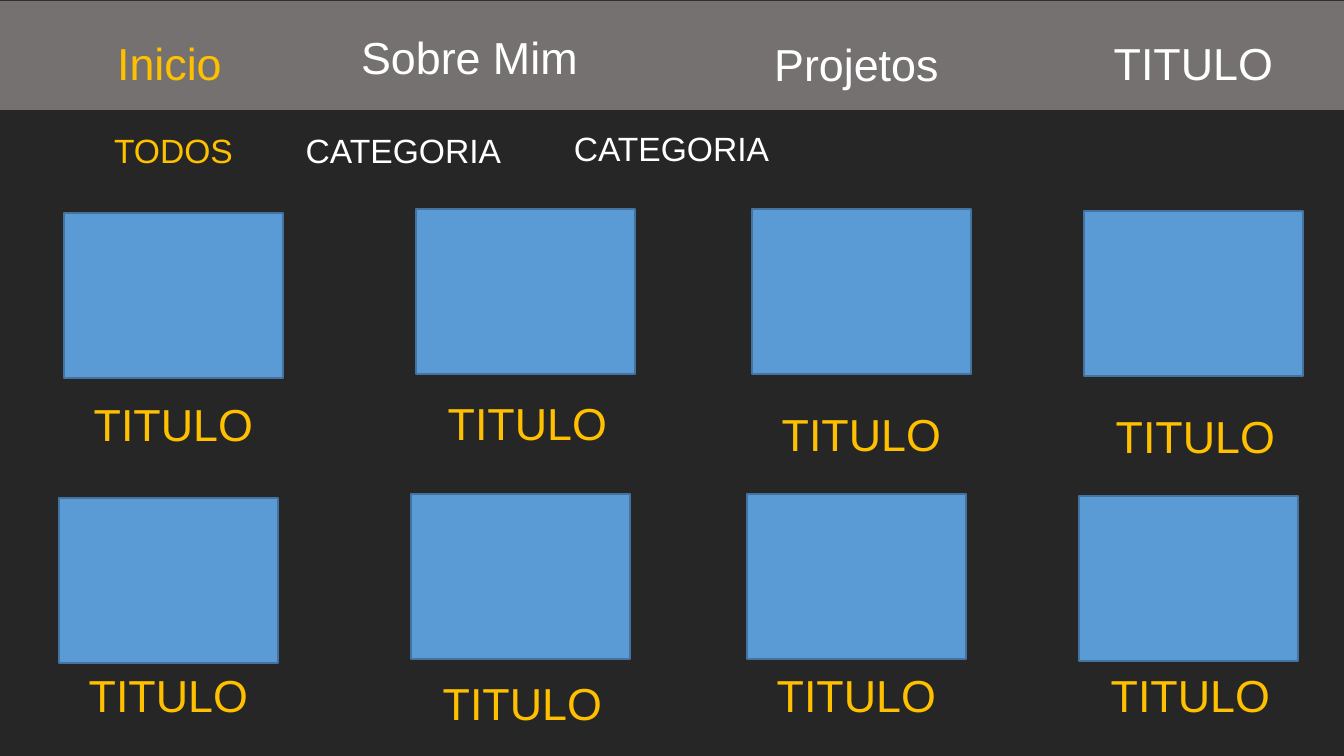
from collections import namedtuple
from dataclasses import dataclass

from pptx import Presentation
from pptx.dml.color import RGBColor as Rgb
from pptx.enum.shapes import MSO_SHAPE as Preset
from pptx.enum.text import MSO_ANCHOR as Anchor, MSO_AUTO_SIZE as AutoSize, PP_ALIGN as Align
from pptx.util import Emu, Pt

PX = 914400 / 100.8
Box = namedtuple("Box", "left top width height")


@dataclass(frozen=True)
class Theme:
    font: str = "Arial"
    heading: int = 32
    filter: int = 24
    page: str = "262626"
    bar: str = "767171"
    card: str = "5B9BD5"
    card_edge: str = "43739E"
    accent: str = "FFC000"
    plain: str = "FFFFFF"


THEME = Theme()
LABEL_WIDTH = 219
HEADING_HEIGHT = 65
FILTER_HEIGHT = 50


def emu(box):
    return [Emu(round(length * PX)) for length in box]


def write_label(label, wording, size, color):
    frame = label.text_frame
    frame.word_wrap = True
    frame.auto_size = AutoSize.SHAPE_TO_FIT_TEXT
    frame.vertical_anchor = Anchor.TOP
    line = frame.paragraphs[0]
    line.alignment = Align.CENTER
    line.line_spacing = 1.0
    run = line.add_run()
    run.text = wording
    run.font.name = THEME.font
    run.font.size = Pt(size)
    run.font.color.rgb = Rgb.from_string(color)


def add_label(slide, box, wording, size, color):
    write_label(slide.shapes.add_textbox(*emu(box)), wording, size, color)


def add_panel(slide, box, fill, edge=None):
    panel = slide.shapes.add_shape(Preset.RECTANGLE, *emu(box))
    panel.shadow.inherit = False
    panel.fill.solid()
    panel.fill.fore_color.rgb = Rgb.from_string(fill)
    if edge:
        panel.line.color.rgb = Rgb.from_string(edge)
        panel.line.width = Pt(1)
    else:
        panel.line.fill.background()


def place_title(slide, box, wording):
    title = slide.shapes.title
    title.left, title.top, title.width, title.height = emu(box)
    write_label(title, wording, THEME.heading, THEME.plain)
    title.element.getparent().append(title.element)


def add_header(slide, box):
    add_panel(slide, box, THEME.bar)
    links = [
        ("Inicio", 60, 30, LABEL_WIDTH, THEME.accent),
        ("Sobre Mim", 349, 24, 241, THEME.plain),
        ("Projetos", 747, 31, LABEL_WIDTH, THEME.plain),
    ]
    for wording, left, top, width, color in links:
        place = Box(box.left + left, box.top + top, width, HEADING_HEIGHT)
        add_label(slide, place, wording, THEME.heading, color)
    place_title(slide, Box(box.left + 1084, box.top + 30, LABEL_WIDTH, HEADING_HEIGHT), "TITULO")


def add_filters(slide, box):
    filters = [
        ("TODOS", 0, 2, THEME.accent),
        ("CATEGORIA", 230, 2, THEME.plain),
        ("CATEGORIA", 498, 0, THEME.plain),
    ]
    for wording, left, top, color in filters:
        place = Box(box.left + left, box.top + top, LABEL_WIDTH, FILTER_HEIGHT)
        add_label(slide, place, wording, THEME.filter, color)


def add_project_row(slide, box, caption_drops):
    card_places = [(0, 4), (352, 0), (688, 0), (1020, 2)]
    caption_shifts = [0, 2, 0, 2]
    for (left, top), shift, drop in zip(card_places, caption_shifts, caption_drops):
        card = Box(box.left + left, box.top + top, LABEL_WIDTH, 165)
        add_panel(slide, card, THEME.card, THEME.card_edge)
        caption = Box(card.left + shift, card.top + drop, LABEL_WIDTH, HEADING_HEIGHT)
        add_label(slide, caption, "TITULO", THEME.heading, THEME.accent)


def build_projects_page(deck):
    slide = deck.slides.add_slide(deck.slide_layouts.get_by_name("Title Only"))
    slide.background.fill.solid()
    slide.background.fill.fore_color.rgb = Rgb.from_string(THEME.page)
    add_header(slide, Box(0, 1, 1344, 109))
    add_filters(slide, Box(64, 123, 717, 52))
    add_project_row(slide, Box(64, 209, 1239, 259), [179, 182, 193, 193])
    add_project_row(slide, Box(59, 494, 1239, 242), [165, 177, 169, 167])


def main():
    deck = Presentation()
    deck.slide_width, deck.slide_height = emu((1344, 756))
    build_projects_page(deck)
    deck.save("out.pptx")


if __name__ == "__main__":
    main()
